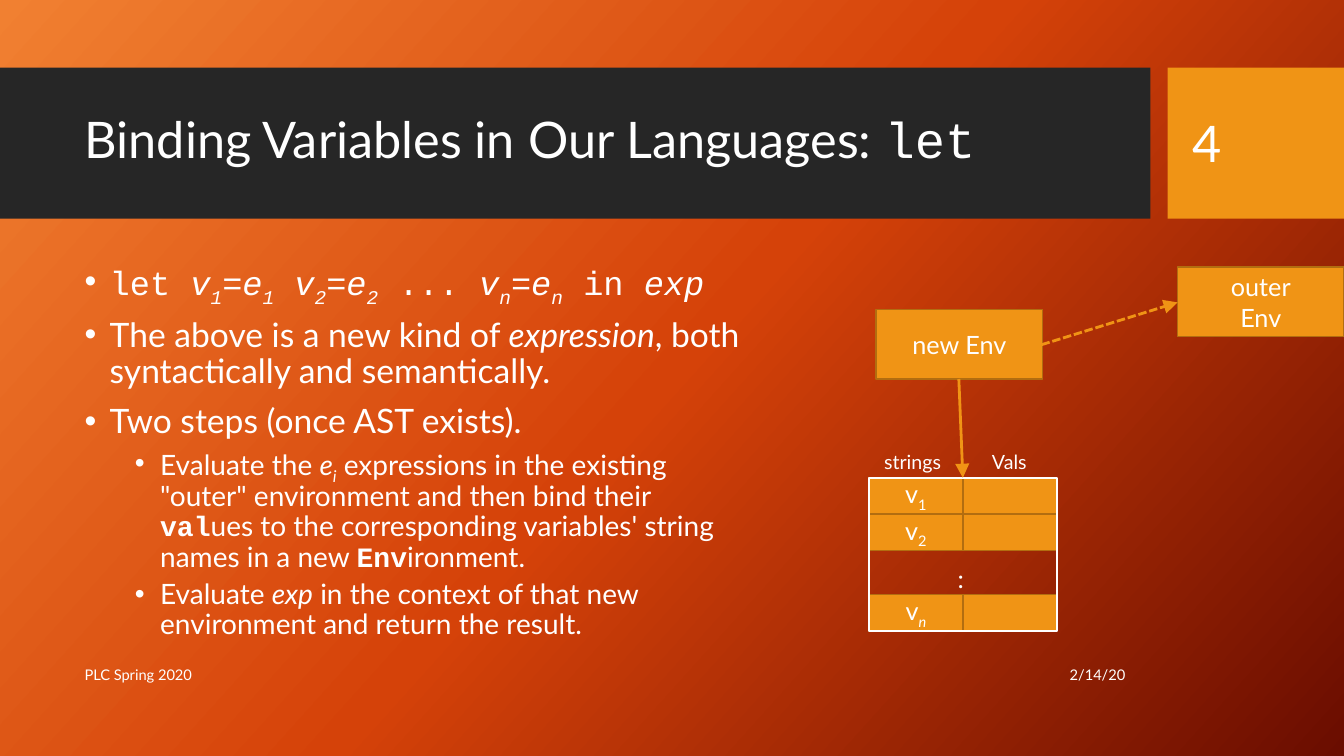
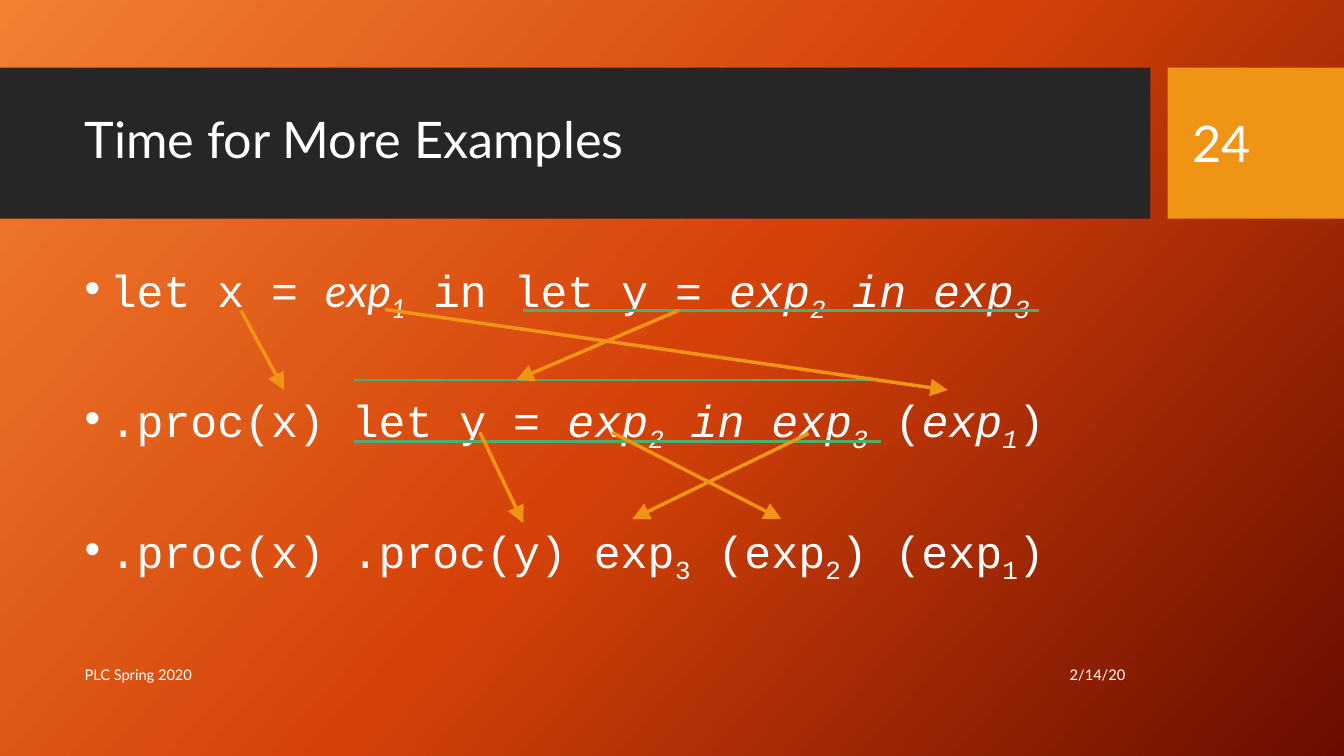
import copy

import pptx
import pptx.dml.color
import pptx.enum.dml
import pptx.enum.shapes
import pptx.enum.text
import pptx.oxml
import pptx.oxml.ns
import pptx.util

Inches, Pt = pptx.util.Inches, pptx.util.Pt
ALIGN = {"l": pptx.enum.text.PP_ALIGN.LEFT,
         "c": pptx.enum.text.PP_ALIGN.CENTER,
         "r": pptx.enum.text.PP_ALIGN.RIGHT}
ANCHOR = pptx.enum.text.MSO_ANCHOR
WHITE, DARK, ORANGE, BROWN, GREEN = "FFFFFF", "262626", "F09415", "B26D10", "4BAF73"
BACKGROUND = [(0, "F18031"), (0.5, "D54209"), (1, "6A0D00")]
SANS, MONO = "Lato", "Courier New"


def rgb(value):
    """Turn a hex string into a colour."""
    return pptx.dml.color.RGBColor.from_string(value)


def sub(parent, tag, **attrs):
    """Append a drawing element with its attributes."""
    el = pptx.oxml.parse_xml(f"<a:{tag} {pptx.oxml.ns.nsdecls('a')}/>")
    for name, value in attrs.items():
        el.set(name, value)
    parent.append(el)


class Deck:
    """Holds the shared style and the current slide."""

    def __init__(self):
        """Set the slide size and the gradient on the master."""
        self.prs = pptx.Presentation()
        self.prs.slide_width, self.prs.slide_height = Inches(13.33), Inches(7.5)
        fill = self.prs.slide_master.background.fill
        fill.gradient()
        fill.gradient_angle = 360 - 42
        first = fill.gradient_stops[0]._gs
        first.addnext(copy.deepcopy(first))
        for stop, (position, color) in zip(fill.gradient_stops, BACKGROUND):
            stop.position = position
            stop.color.rgb = rgb(color)

    def slide(self, title, number):
        """Start a slide with bands, title, number and footer."""
        self.s = self.prs.slides.add_slide(self.prs.slide_layouts[6])
        self.box(0, 0.67, 11.41, 1.5, DARK)
        self.box(11.58, 0.67, 1.75, 1.5, ORANGE)
        self.text(0.74, 0.82, 10.51, 1.18, title, 36, spacing=0.9)
        self.text(11.73, 0.82, 1.26, 1.19, number, 36)
        self.text(0.74, 6.49, 7.51, 0.4, "PLC Spring 2020", 10.5)
        self.text(8.26, 6.49, 3, 0.4, "2/14/20", 10.5, align="r")

    def runs(self, p, parts, size):
        """Add runs; flags are m mono, i italic, b bold, s subscript."""
        for part in [parts] if isinstance(parts, str) else parts:
            words, flags = (part, "") if isinstance(part, str) else part
            r = p.add_run()
            r.text = words
            style = {"name": MONO if "m" in flags else SANS, "size": Pt(size),
                     "italic": "i" in flags, "bold": "b" in flags}
            for key, value in style.items():
                setattr(r.font, key, value)
            r.font.color.rgb = rgb(WHITE)
            if "s" in flags:
                r._r.get_or_add_rPr().set("baseline", "-25000")

    def text(self, x, y, w, h, parts, size, align="l", spacing=1.0,
             anchor=ANCHOR.MIDDLE, wrap=True):
        """Add a one-paragraph text box."""
        tf = self.s.shapes.add_textbox(*map(Inches, (x, y, w, h))).text_frame
        tf.word_wrap, tf.vertical_anchor = wrap, anchor
        p = tf.paragraphs[0]
        p.alignment, p.line_spacing = ALIGN[align], spacing
        self.runs(p, parts, size)

    def label(self, x, y, w, h, words, size):
        """Add a short unwrapped label."""
        self.text(x, y, w, h, words, size, anchor=ANCHOR.TOP, wrap=False)

    def bullets(self, x, y, w, h, items):
        """Add bullets given as (level, size, space before, parts)."""
        tf = self.s.shapes.add_textbox(*map(Inches, (x, y, w, h))).text_frame
        tf.word_wrap = True
        for i, (level, size, before, parts) in enumerate(items):
            p = tf.add_paragraph() if i else tf.paragraphs[0]
            p.level, p.line_spacing, p.space_before = level, 0.9, Pt(before)
            pPr = p._p.get_or_add_pPr()
            pPr.set("marL", str(Inches(0.25 + 0.5 * level)))
            pPr.set("indent", str(Inches(-0.25)))
            sub(pPr, "buFont", typeface="Arial")
            sub(pPr, "buChar", char="\u2022")
            self.runs(p, parts, size)

    def box(self, x, y, w, h, fill=None, line=None, width=1, lines=()):
        """Add a rectangle with optional centred lines of text."""
        sp = self.s.shapes.add_shape(pptx.enum.shapes.MSO_SHAPE.RECTANGLE,
                                     *map(Inches, (x, y, w, h)))
        sp.shadow.inherit = False
        if fill:
            sp.fill.solid()
            sp.fill.fore_color.rgb = rgb(fill)
        else:
            sp.fill.background()
        if line:
            sp.line.color.rgb = rgb(line)
            sp.line.width = Pt(width)
        else:
            sp.line.fill.background()
        tf = sp.text_frame
        tf.vertical_anchor = ANCHOR.MIDDLE
        for i, parts in enumerate(lines):
            p = tf.add_paragraph() if i else tf.paragraphs[0]
            p.alignment = ALIGN["c"]
            self.runs(p, parts, 18)

    def node(self, x, y, w, h, *lines):
        """Add an outlined orange box."""
        self.box(x, y, w, h, ORANGE, BROWN, lines=lines)

    def line(self, x1, y1, x2, y2, color=ORANGE, width=2.5, arrow=True, dashed=False):
        """Add a straight line, by default an orange arrow."""
        c = self.s.shapes.add_connector(pptx.enum.shapes.MSO_CONNECTOR.STRAIGHT,
                                        *map(Inches, (x1, y1, x2, y2)))
        c.line.color.rgb = rgb(color)
        c.line.width = Pt(width)
        if dashed:
            c.line.dash_style = pptx.enum.dml.MSO_LINE.SQUARE_DOT
        if arrow:
            sub(c.line._get_or_add_ln(), "tailEnd", type="triangle", w="lg", len="lg")
        sub(c._element.spPr, "effectLst")


def binding(name, index):
    """Return the runs of one name=expression pair."""
    return [(name, "mi"), (index, "mis"), ("=", "m"), ("e", "mi"), (index, "mis")]


def let_slide(d):
    """Build the slide on let bindings and environments."""
    d.slide(["Binding Variables in Our Languages: ", ("let", "m")], "4")
    syntax = [("let ", "m"), *binding("v", "1"), (" ", "mi"), *binding("v", "2"),
              (" ... ", "m"), *binding("v", "n"), (" in ", "m"), ("exp", "mi")]
    d.bullets(0.74, 2.56, 6.76, 3.94, [
        (0, 24, 10, syntax),
        (0, 24, 10, ["The above is a new kind of ", ("expression", "i"),
                     ", both syntactically and semantically."]),
        (0, 24, 10, "Two steps (once AST exists)."),
        (1, 20, 5, ["Evaluate the ", ("e", "i"), ("i", "is"),
                    " expressions in the existing \"outer\" environment and then bind their ",
                    ("val", "mb"),
                    "ues to the corresponding variables' string names in a new ",
                    ("Env", "mb"), "ironment."]),
        (1, 20, 5, ["Evaluate ", ("exp", "i"),
                    " in the context of that new environment and return the result."])])

    left, top, w, h = 8.62, 4.74, 0.93, 0.36
    for y, index, flags in [(top, "1", "s"), (top + h, "2", "s"), (5.9, "n", "is")]:
        d.node(left, y, w, h, ["v", (index, flags)])
        d.node(left + w, y, w, h)
    d.label(9.4, 5.54, 0.29, 0.4, ":", 18)
    d.box(left, top, 2 * w, 1.52, line=WHITE, width=1.5)
    d.label(8.67, 4.41, 0.8, 0.34, "strings", 14)
    d.label(9.74, 4.41, 0.65, 0.34, "Vals", 14)

    d.node(8.69, 3.07, 1.65, 0.69, "new Env")
    d.node(11.68, 2.65, 1.65, 0.69, "outer", "Env")
    d.line(9.51, 3.76, left + w, top, width=2)
    d.line(10.33, 3.42, 11.68, 3, width=2, dashed=True)


def examples_slide(d):
    """Build the slide that rewrites let as procedure calls."""
    d.slide("Time for More Examples", "24")
    inner = [("exp", "mi"), ("2", "mis"), (" in exp", "mi"), ("3", "mis")]
    steps = [
        [("let x = ", "m"), ("exp", "i"), ("1", "is"), (" in let y = ", "m"), *inner],
        [(".proc(x) let y = ", "m"), *inner,
         (" (", "m"), ("exp", "mi"), ("1", "mis"), (")", "m")],
        [(".proc(x) .proc(y) exp", "m"), ("3", "ms"), (" (exp", "m"), ("2", "ms"),
         (") (exp", "m"), ("1", "ms"), (")", "m")]]
    d.bullets(0.74, 2.56, 10.51, 3.94,
              [(0, 32, 54 if i else 10, step) for i, step in enumerate(steps)])
    for x1, x2, y in [(5.19, 10.31, 3.08), (3.51, 8.64, 3.77), (3.51, 8.74, 4.38)]:
        d.line(x1, y, x2, y, GREEN, 1.75, arrow=False)
    for ends in [(2.39, 3.08, 2.82, 3.87), (3.82, 3.07, 9.4, 3.87),
                 (6.73, 3.08, 5.12, 3.77), (4.76, 4.29, 5.19, 5.19),
                 (6.07, 4.29, 7.75, 5.15), (8.02, 4.3, 6.27, 5.15)]:
        d.line(*ends)


deck = Deck()
let_slide(deck)
examples_slide(deck)
deck.prs.save("out.pptx")
